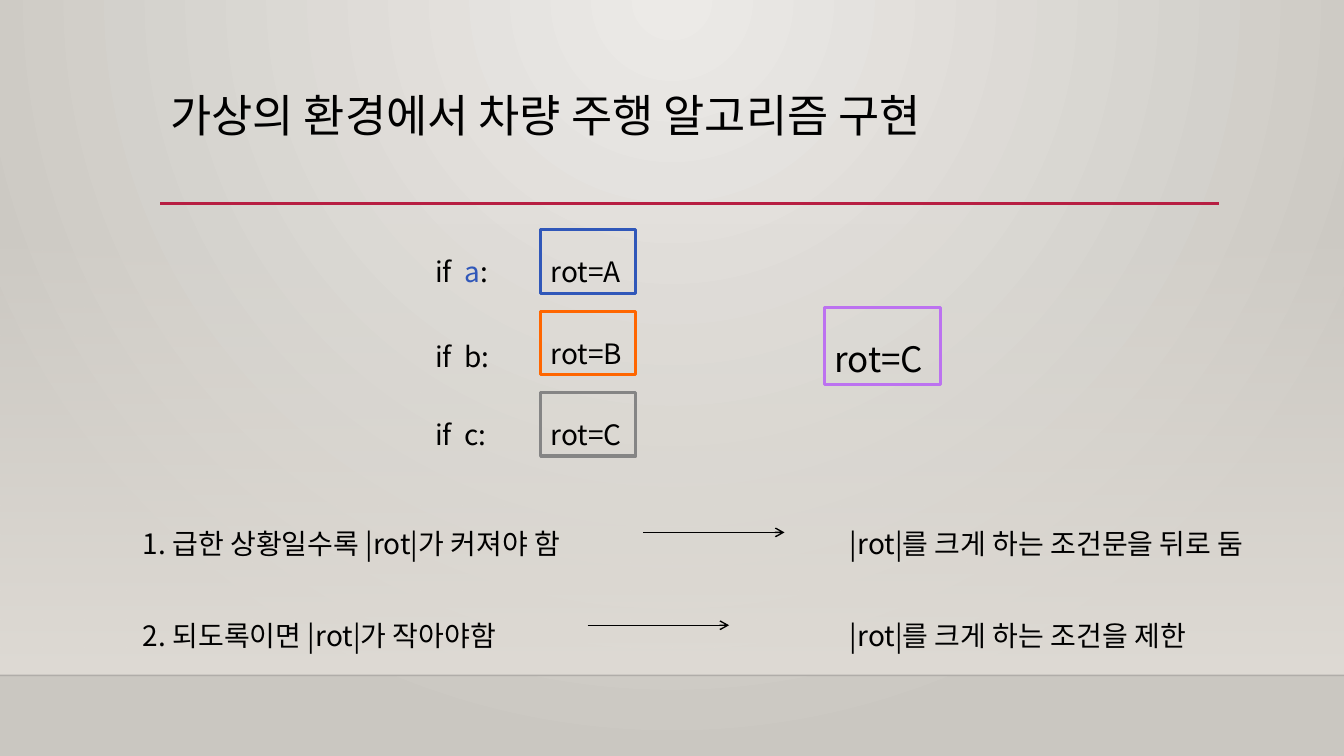
from lxml import etree
from pptx import Presentation, oxml
from pptx.dml.color import RGBColor
from pptx.enum import dml, shapes, text
from pptx.oxml import ns
from pptx.util import Pt

WIDTH, HEIGHT = 960, 540
HORIZON = 482.4
BODY_FONT = "Noto Sans CJK KR"
TITLE_FONT = "Cabin"

BLACK = RGBColor(0x00, 0x00, 0x00)
HORIZON_BLACK = RGBColor(0x00, 0x00, 0x01)
CRIMSON = RGBColor(0xB7, 0x1E, 0x42)
BLUE = RGBColor(0x30, 0x57, 0xB9)
ORANGE = RGBColor(0xFF, 0x66, 0x00)
GRAY = RGBColor(0x85, 0x85, 0x85)
PURPLE = RGBColor(0xBC, 0x72, 0xF0)
WALL_LIGHT = RGBColor(0xEC, 0xEA, 0xE7)
WALL_DARK = RGBColor(0xCA, 0xC7, 0xC1)
HAZE = RGBColor(0xDF, 0xDB, 0xD5)


def set_gradient(fill, element, stops, direction):
    """Fill with stops of (position %, colour, opacity %)."""
    fill.solid()
    fill.fore_color.rgb = stops[0][1]
    solid = next(element.iter(ns.qn("a:solidFill")))
    stop_xml = "".join(
        f'<a:gs pos="{position * 1000}"><a:srgbClr val="{color}">'
        f'<a:alpha val="{opacity * 1000}"/></a:srgbClr></a:gs>'
        for position, color, opacity in stops)
    gradient = oxml.parse_xml(
        f'<a:gradFill {ns.nsdecls("a")} rotWithShape="1">'
        f'<a:gsLst>{stop_xml}</a:gsLst>{direction}</a:gradFill>')
    solid.getparent().replace(solid, gradient)


def add_line(slide, start, end, color, width, arrow=False, opacity=100):
    line = slide.shapes.add_connector(
        shapes.MSO_CONNECTOR.STRAIGHT, *map(Pt, start + end))
    line.line.width = Pt(width)
    line.line.color.rgb = color
    properties = line._element.spPr
    if opacity < 100:
        color_element = next(properties.iter(ns.qn("a:srgbClr")))
        etree.SubElement(color_element, ns.qn("a:alpha"), val=str(opacity * 1000))
    if arrow:
        etree.SubElement(line.line._get_or_add_ln(), ns.qn("a:tailEnd"), type="arrow")
    etree.SubElement(properties, ns.qn("a:effectLst"))


def write_text(shape, runs, size=20, font=BODY_FONT, spacing=1.6,
               alignment=text.PP_ALIGN.JUSTIFY, grow=True):
    """Write one paragraph of (words, colour) runs."""
    frame = shape.text_frame
    fit = text.MSO_AUTO_SIZE.SHAPE_TO_FIT_TEXT if grow else text.MSO_AUTO_SIZE.NONE
    frame_format = {"word_wrap": True, "auto_size": fit,
                    "vertical_anchor": text.MSO_ANCHOR.TOP}
    for name, value in frame_format.items():
        setattr(frame, name, value)
    paragraph = frame.paragraphs[0]
    paragraph.alignment = alignment
    paragraph.line_spacing = spacing
    for words, color in runs:
        run = paragraph.add_run()
        run.text = words
        for name, value in {"size": Pt(size), "name": font}.items():
            setattr(run.font, name, value)
        run.font.color.rgb = color
        etree.SubElement(run.font._element, ns.qn("a:ea"), typeface=BODY_FONT)


def add_text(slide, box, runs, **text_format):
    write_text(slide.shapes.add_textbox(*map(Pt, box)), runs, **text_format)


def add_frame(slide, box, words, color, size=20):
    frame = slide.shapes.add_shape(shapes.MSO_SHAPE.RECTANGLE, *map(Pt, box))
    frame.shadow.inherit = False
    frame.fill.background()
    frame.line.color.rgb = color
    frame.line.width = Pt(2.25)
    write_text(frame, [(words, BLACK)], size=size)


def add_backdrop(slide):
    # Radial wall light, haze above the horizon
    set_gradient(
        slide.background.fill, slide._element,
        [(0, WALL_LIGHT, 100), (100, WALL_DARK, 100)],
        '<a:path path="circle"><a:fillToRect l="43000" r="43000" b="100000"/></a:path>')
    top = 159
    haze = slide.shapes.add_shape(
        shapes.MSO_SHAPE.RECTANGLE, 0, Pt(top), Pt(WIDTH), Pt(HORIZON - top))
    haze.shadow.inherit = False
    haze.line.fill.background()
    set_gradient(haze.fill, haze._element.spPr, [(0, HAZE, 0), (100, HAZE, 100)],
                 '<a:lin ang="5400000" scaled="0"/>')
    add_line(slide, (0, HORIZON), (WIDTH, HORIZON), HORIZON_BLACK, 1, opacity=20)


def add_title(slide, left, top, width, height):
    add_line(slide, (left, top + height - 0.8), (left + width, top + height - 0.8),
             CRIMSON, 2.5)
    add_text(slide, (left, top, width, height),
             [("가상의 환경에서 차량 주행 알고리즘 구현", BLACK)],
             size=32, font=TITLE_FONT, spacing=0.9,
             alignment=text.PP_ALIGN.LEFT, grow=False)


def add_conditions(slide, left, top):
    # Each condition beside its framed rotation, then the final rotation
    width, height, pitch = 68, 45.4, 58.1
    rows = [("a", BLUE, BLUE, 0), ("b", BLACK, ORANGE, 2.2), ("c", BLACK, GRAY, 0)]
    for index, (letter, letter_color, frame_color, drop) in enumerate(rows):
        row_top = top + index * pitch
        add_text(slide, (left, row_top + drop, width, height),
                 [("if  ", BLACK), (letter, letter_color), (":", BLACK)])
        add_frame(slide, (left + 82.4, row_top, width, height),
                  f"rot={letter.upper()}", frame_color)
    add_frame(slide, (left + 285.2, top + 55.4, 83, 55), "rot=C", PURPLE, size=25)


def add_principles(slide, left, top):
    # Principle, arrow, consequence
    height, pitch = 45.4, 66.3
    rows = [
        ("1. 급한 상황일수록 |rot|가 커져야 함", 364.4, "|rot|를 크게 하는 조건문을 뒤로 둠"),
        ("2. 되도록이면 |rot|가 작아야함", 324.8, "|rot|를 크게 하는 조건을 제한"),
    ]
    for index, (principle, arrow_offset, consequence) in enumerate(rows):
        row_top = top + index * pitch
        arrow_left, arrow_top = left + arrow_offset, row_top + 22.5
        add_text(slide, (left, row_top, 337, height), [(principle, BLACK)])
        add_line(slide, (arrow_left, arrow_top), (arrow_left + 101, arrow_top),
                 BLACK, 1, arrow=True)
        add_text(slide, (left + 505, row_top, 325, height), [(consequence, BLACK)])


def main():
    presentation = Presentation()
    presentation.slide_width, presentation.slide_height = Pt(WIDTH), Pt(HEIGHT)
    slide = presentation.slides.add_slide(presentation.slide_layouts[6])
    add_backdrop(slide)
    add_title(slide, 114.5, 63.4, 756.5, 82.8)
    add_conditions(slide, 303.8, 164.2)
    add_principles(slide, 95, 357.8)
    presentation.save("out.pptx")


if __name__ == "__main__":
    main()
